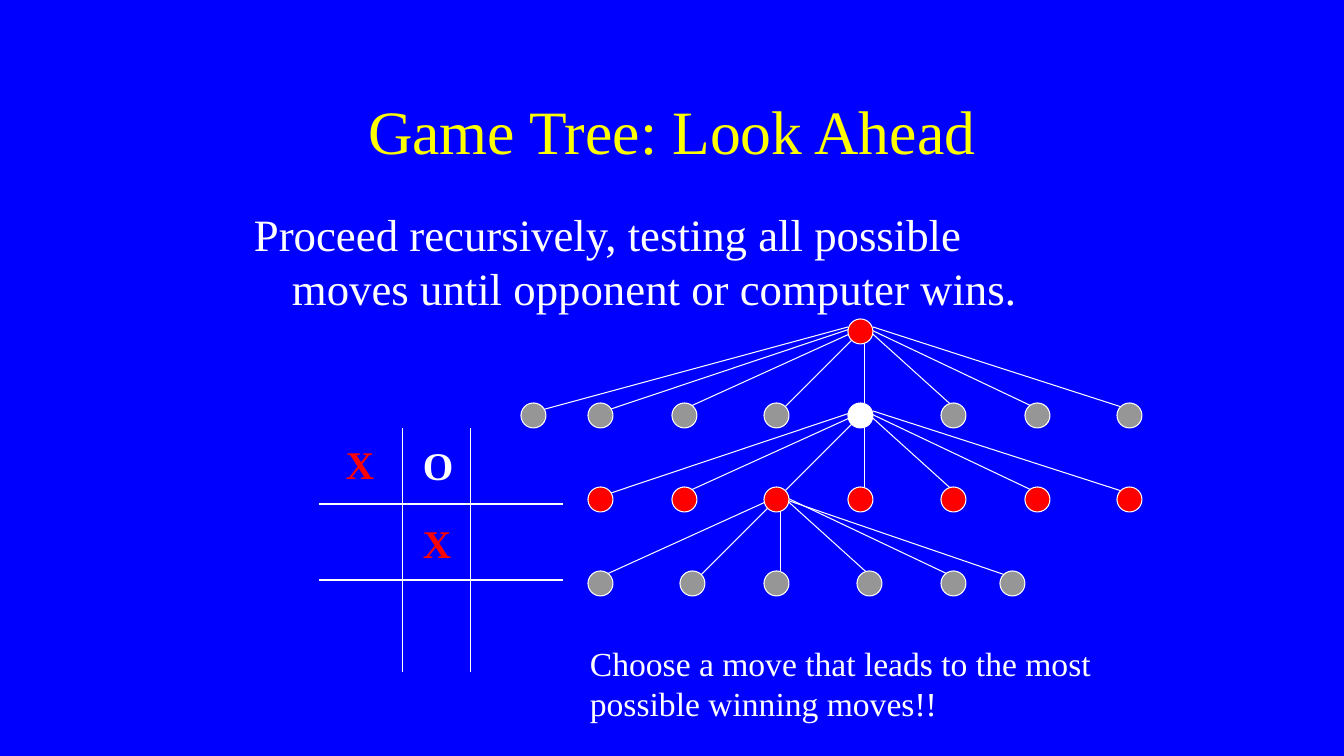
import pptx
import pptx.util
import pptx.dml.color
import pptx.enum.shapes
import pptx.enum.text
import pptx.oxml.ns
import lxml.etree

PX = 914400 / 100.8
FONT = "Times New Roman"
BLUE, YELLOW, WHITE, RED, GRAY = "0000FF", "FFFF00", "FFFFFF", "FF0000", "969696"
NODE = 25
LEVEL_GAP = 84
EDGE_X, EDGE_Y = 17, 8


def emu(px):
    return round(px * PX)


def rgb(color):
    return pptx.dml.color.RGBColor.from_string(color)


def add_text(s, box, lines, size, color, bold=False, wrap=False, align="LEFT", anchor="TOP"):
    sp = s.shapes.add_textbox(*map(emu, box))
    tf = sp.text_frame
    tf.text = "\n".join(lines)
    tf.word_wrap = wrap
    auto = pptx.enum.text.MSO_AUTO_SIZE
    tf.auto_size = auto.NONE if wrap else auto.SHAPE_TO_FIT_TEXT
    tf.vertical_anchor = pptx.enum.text.MSO_ANCHOR[anchor]
    for p in tf.paragraphs:
        p.alignment = pptx.enum.text.PP_ALIGN[align]
        for r in p.runs:
            r.font.name = FONT
            r.font.size = pptx.util.Pt(size)
            r.font.bold = bold
            r.font.color.rgb = rgb(color)
    return sp


def add_line(s, x1, y1, x2, y2):
    kind = pptx.enum.shapes.MSO_CONNECTOR.STRAIGHT
    line = s.shapes.add_connector(kind, *map(emu, (x1, y1, x2, y2)))
    line.line.color.rgb = rgb(WHITE)
    line.line.width = pptx.util.Pt(0.75)
    lxml.etree.SubElement(line._element.spPr, pptx.oxml.ns.qn("a:effectLst"))


def add_node(s, x, y, color):
    kind = pptx.enum.shapes.MSO_SHAPE.OVAL
    sp = s.shapes.add_shape(kind, *map(emu, (x, y, NODE, NODE)))
    sp.shadow.inherit = False
    sp.fill.solid()
    sp.fill.fore_color.rgb = rgb(color)
    sp.line.color.rgb = rgb(WHITE)
    sp.line.width = pptx.util.Pt(0.75)


def add_heading(s, box):
    add_text(s, box, ["Game Tree: Look Ahead"], 44, YELLOW,
             wrap=True, align="CENTER", anchor="MIDDLE")


def add_body(s, box):
    text = "Proceed recursively, testing all possible moves until opponent or computer wins."
    sp = add_text(s, box, [text], 32, WHITE, wrap=True)
    sp.text_frame.margin_right = emu(20)
    pPr = sp.text_frame.paragraphs[0]._p.get_or_add_pPr()
    pPr.set("marL", str(emu(38)))
    pPr.set("indent", str(-emu(38)))


def add_board(s, box):
    left, top, width, height = box
    for x in (84, 152):
        add_line(s, left + x, top, left + x, top + height)
    for y in (76, 152):
        add_line(s, left, top + y, left + width, top + y)
    for mark, x, y, w, color in (("X", 17, 7, 48, RED),
                                 ("O", 94, 8, 50, WHITE),
                                 ("X", 94, 86, 48, RED)):
        add_text(s, (left + x, top + y, w, 57), [mark], 28, color, bold=True)


def add_tree(s, box):
    left, top = box[:2]
    root, best_reply = 327, 243
    moves = [0, 67, 151, 243, 327, 420, 504, 596]
    levels = [(root, moves, GRAY, {0: 0, 67: 8, 596: 25}, 151),
              (root, moves[1:], RED, {67: 8, 596: 25}, 151),
              (best_reply, [67, 159, 243, 336, 420, 479], GRAY, {479: 8}, 67)]

    for depth, (parent, children, _, starts, near) in enumerate(levels):
        y = top + depth * LEVEL_GAP
        for x in children:
            start = starts.get(x, EDGE_X)
            end = EDGE_Y if x == near else EDGE_X
            drop = 0 if x == parent else EDGE_Y
            add_line(s, left + parent + start, y + EDGE_Y,
                     left + x + end, y + LEVEL_GAP + drop)

    add_node(s, left + root, top, RED)
    for depth, (_, children, color, _, _) in enumerate(levels, 1):
        for x in children:
            chosen = depth == 1 and x == root
            add_node(s, left + x, top + depth * LEVEL_GAP, WHITE if chosen else color)


def add_conclusion(s, box):
    add_text(s, box, ["Choose a move that leads to the most", "possible winning moves!!"],
             24, WHITE)


prs = pptx.Presentation()
prs.slide_width, prs.slide_height = emu(1344), emu(756)
s = prs.slides.add_slide(prs.slide_layouts[6])
s.background.fill.solid()
s.background.fill.fore_color.rgb = rgb(BLUE)

add_heading(s, (101, 67, 1142, 126))
add_body(s, (244, 202, 857, 454))
add_board(s, (319, 428, 244, 244))
add_tree(s, (521, 319, 621, 277))
add_conclusion(s, (580, 638, 526, 92))

prs.save("out.pptx")
